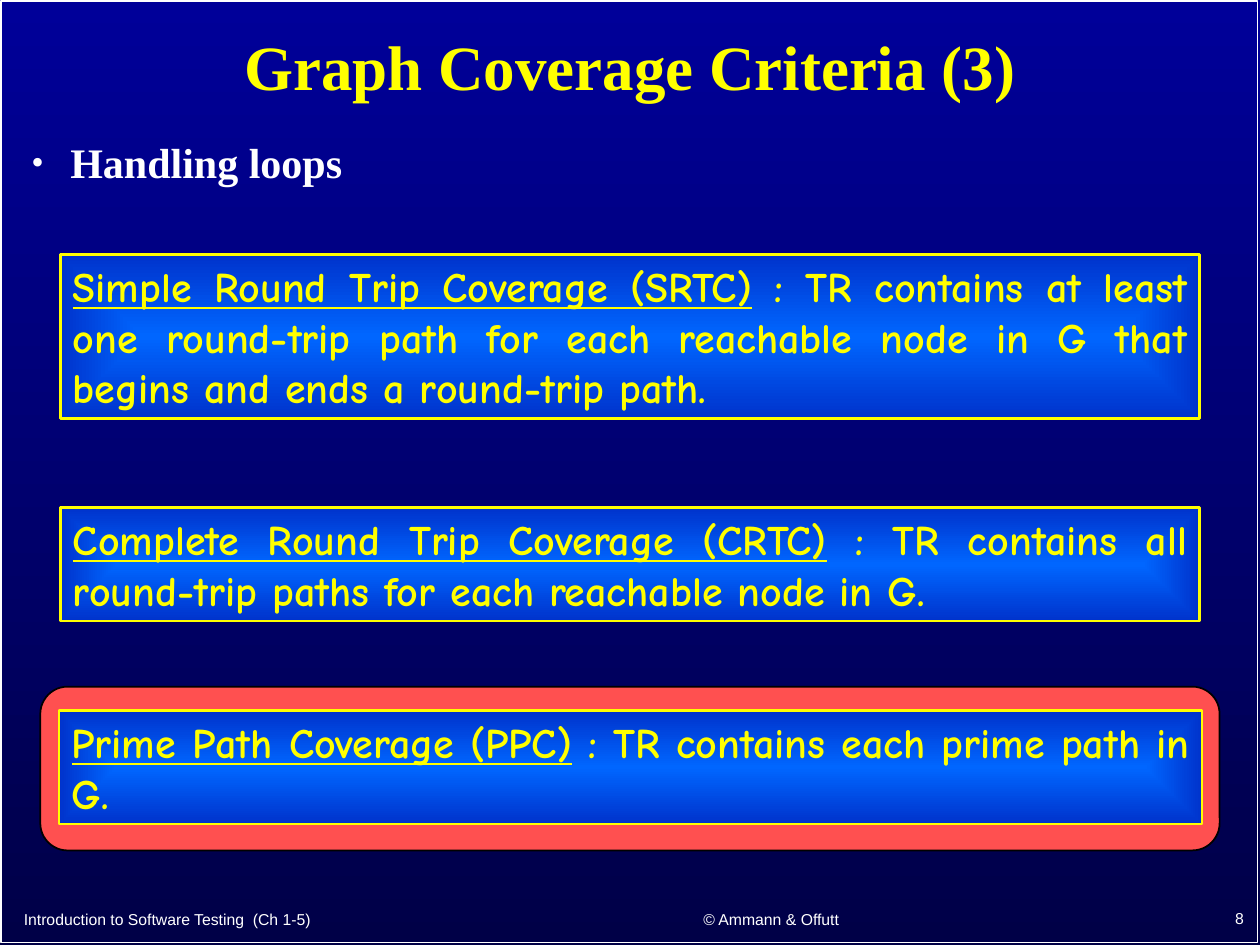
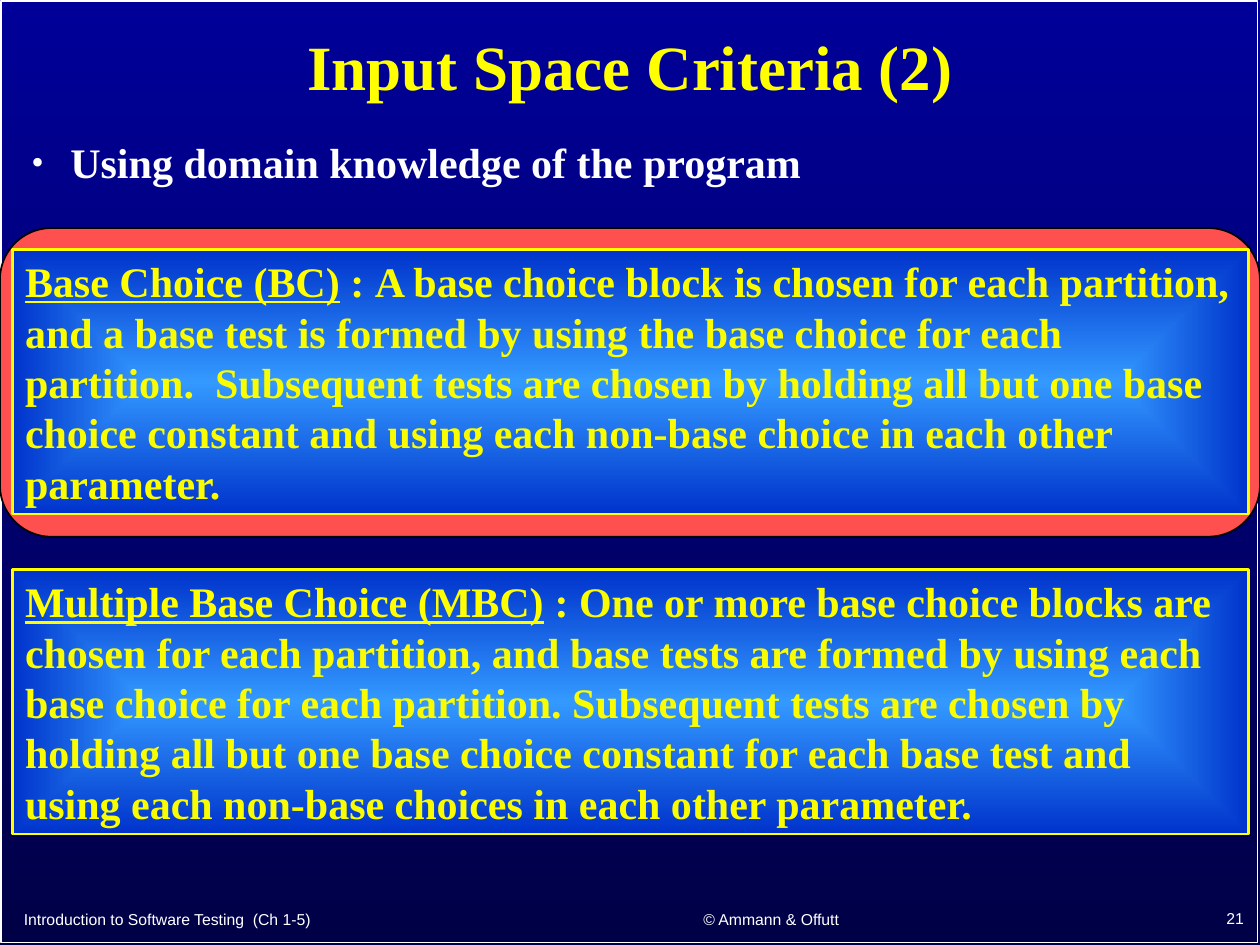
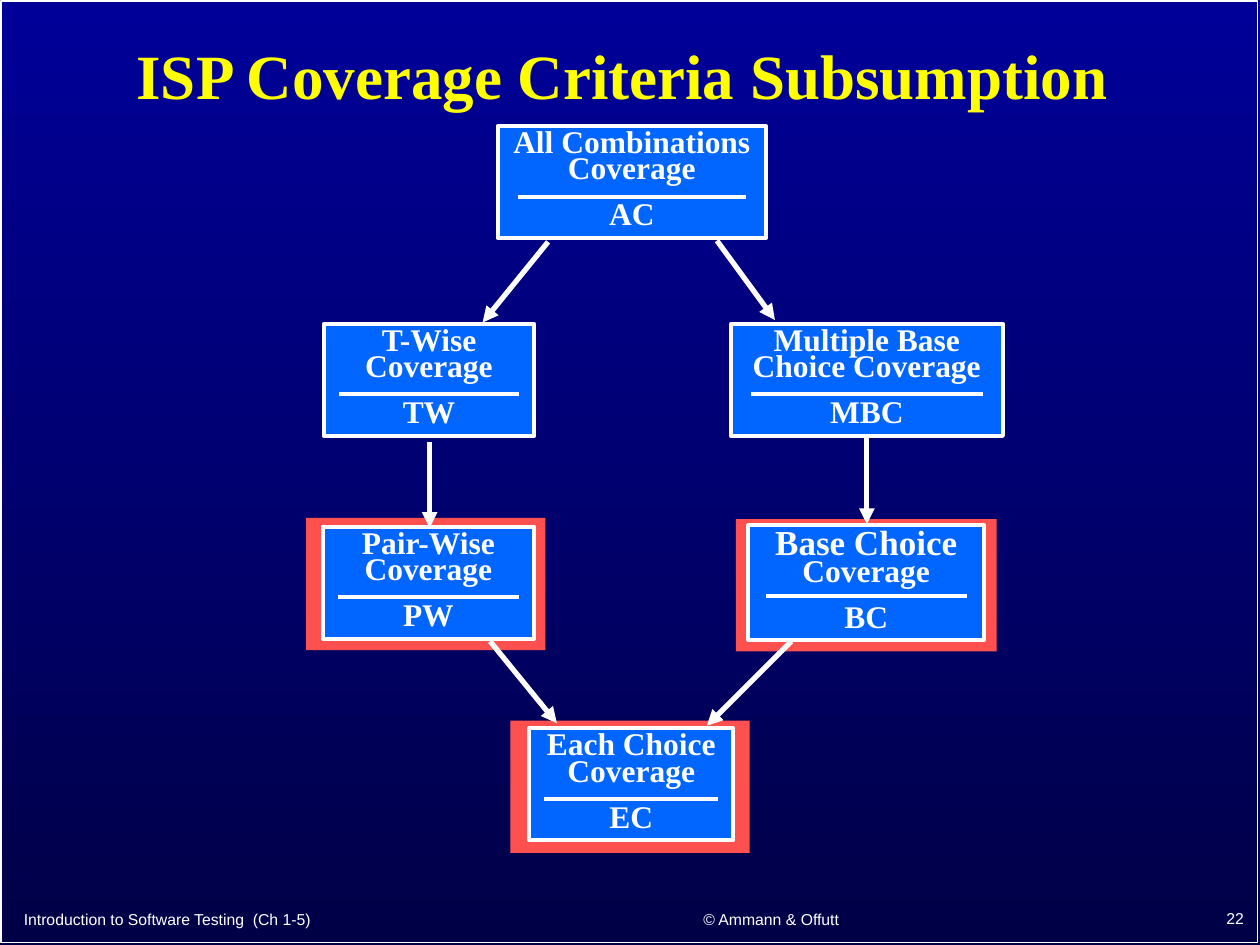
from dataclasses import dataclass

from lxml import etree
from pptx import Presentation
from pptx.dml.color import RGBColor
from pptx.enum.shapes import MSO_CONNECTOR, MSO_SHAPE
from pptx.enum.text import MSO_ANCHOR, PP_ALIGN
from pptx.oxml.ns import qn
from pptx.shapes.autoshape import Shape
from pptx.slide import Slide
from pptx.text.text import TextFrame
from pptx.util import Inches, Pt

LEFT, CENTER, RIGHT, JUSTIFY = PP_ALIGN.LEFT, PP_ALIGN.CENTER, PP_ALIGN.RIGHT, PP_ALIGN.JUSTIFY
TOP, MIDDLE, BOTTOM = MSO_ANCHOR.TOP, MSO_ANCHOR.MIDDLE, MSO_ANCHOR.BOTTOM
RECTANGLE, ROUNDED = MSO_SHAPE.RECTANGLE, MSO_SHAPE.ROUNDED_RECTANGLE
STRAIGHT = MSO_CONNECTOR.STRAIGHT

SERIF, SANS, HAND = "Times New Roman", "Arial", "Comic Neue"
COLORS = {
    "sky": "000099",
    "night": "000047",
    "white": "FFFFFF",
    "black": "000000",
    "yellow": "FFFF00",
    "lemon": "FAFD00",
    "highlight": "FF5050",
    "node": "0066FF",
    "glow": "3399FF",
    "panel_edge": "0033CC",
}


@dataclass(frozen=True)
class Box:
    left: float
    top: float
    width: float
    height: float

    def lengths(self) -> tuple[int, ...]:
        return tuple(Inches(v) for v in (self.left, self.top, self.width, self.height))


@dataclass(frozen=True)
class Run:
    text: str
    underline: bool = False
    color: str | None = None
    size: float | None = None


@dataclass(frozen=True)
class Definition:
    box: Box
    runs: list[Run]


@dataclass(frozen=True)
class Criterion:
    box: Box
    name: list[Run]
    abbreviation: str


@dataclass(frozen=True)
class Arrow:
    start: tuple[float, float]
    end: tuple[float, float]


def rgb(name: str) -> RGBColor:
    return RGBColor.from_string(COLORS[name])


def write_text(frame: TextFrame, paragraphs: list[list[Run]], *, size: float, font: str = SERIF,
               color: str = "white", bold: bool = True, align: PP_ALIGN = LEFT,
               anchor: MSO_ANCHOR = TOP, line_spacing: float = 1.0,
               gap: float = 0, bullet: bool = False) -> None:
    frame.word_wrap = True
    frame.vertical_anchor = anchor
    for index, runs in enumerate(paragraphs):
        paragraph = frame.add_paragraph() if index else frame.paragraphs[0]
        if bullet:
            add_bullet(paragraph._p.get_or_add_pPr())
        paragraph.alignment = align
        paragraph.line_spacing = line_spacing
        if index:
            paragraph.space_before = Pt(gap)
        for part in runs:
            run = paragraph.add_run()
            run.text = part.text
            run.font.name = font
            run.font.size = Pt(part.size or size)
            run.font.bold = bold
            run.font.underline = part.underline
            run.font.color.rgb = rgb(part.color or color)


def add_bullet(properties: etree._Element) -> None:
    indent = Inches(0.31)
    properties.set("marL", str(indent))
    properties.set("indent", str(-indent))
    tint = etree.SubElement(properties, qn("a:buClr"))
    etree.SubElement(tint, qn("a:srgbClr"), val=COLORS["white"])
    etree.SubElement(properties, qn("a:buSzPct"), val="85000")
    etree.SubElement(properties, qn("a:buFont"), typeface=SERIF)
    etree.SubElement(properties, qn("a:buChar"), char="•")


def add_label(slide: Slide, box: Box, text: str, **style) -> None:
    write_text(slide.shapes.add_textbox(*box.lengths()).text_frame, [[Run(text)]], **style)


def add_block(slide: Slide, box: Box, *, kind: MSO_SHAPE = RECTANGLE, fill: str | None = None,
              line: str | None = None, weight: float = 1) -> Shape:
    block = slide.shapes.add_shape(kind, *box.lengths())
    block.shadow.inherit = False
    if fill:
        block.fill.solid()
        block.fill.fore_color.rgb = rgb(fill)
    else:
        block.fill.background()
    if line:
        block.line.color.rgb = rgb(line)
        block.line.width = Pt(weight)
    else:
        block.line.fill.background()
    return block


def set_gradient(fill, first: str, last: str) -> None:
    fill.gradient()
    for stop, name, position in zip(fill.gradient_stops, (first, last), (0, 1)):
        stop.color.rgb = rgb(name)
        stop.position = position


def add_line(slide: Slide, start: tuple[float, float], end: tuple[float, float], *,
             weight: float, arrowhead: bool = False) -> None:
    line = slide.shapes.add_connector(STRAIGHT, *(Inches(v) for v in (*start, *end)))
    line.line.color.rgb = rgb("white")
    line.line.width = Pt(weight)
    properties = line._element.spPr
    if arrowhead:
        etree.SubElement(properties.find(qn("a:ln")), qn("a:tailEnd"), type="triangle")
    etree.SubElement(properties, qn("a:effectLst"))


def add_definition(slide: Slide, definition: Definition, *, center: str, font: str,
                   align: PP_ALIGN) -> None:
    panel = add_block(slide, definition.box, line="yellow", weight=1.5)
    set_gradient(panel.fill, center, "panel_edge")
    gradient = panel._element.spPr.find(qn("a:gradFill"))
    gradient.remove(gradient.find(qn("a:lin")))
    path = etree.SubElement(gradient, qn("a:path"), path="rect")
    etree.SubElement(path, qn("a:fillToRect"), {side: "50000" for side in "ltrb"})
    write_text(panel.text_frame, [definition.runs], size=24, font=font, color="yellow", align=align)


def add_criterion(slide: Slide, criterion: Criterion) -> None:
    box = criterion.box
    node = add_block(slide, box, fill="node", line="white", weight=2.25)
    write_text(node.text_frame, [criterion.name, [Run(criterion.abbreviation)]], size=18,
               align=CENTER, line_spacing=0.7, gap=11.2)
    inset = box.width / 13.5
    rule = box.top + 0.56
    add_line(slide, (box.left + inset, rule), (box.left + box.width - inset, rule), weight=2.25)


def add_callout(slide: Slide, box: Box) -> None:
    add_block(slide, box, kind=ROUNDED, fill="highlight", line="black")


def start_slide(deck: Presentation, title: str, number: int,
                title_box: Box = Box(0.75, 0.06, 8.5, 1)) -> Slide:
    slide = deck.slides.add_slide(deck.slide_layouts[6])
    backdrop = slide.background.fill
    set_gradient(backdrop, "sky", "night")
    backdrop.gradient_angle = 270
    add_block(slide, Box(0.01, 0.01, 9.97, 7.47), line="white")
    footers = (
        (Box(0.09, 7.13, 4.28, 0.29), "Introduction to Software Testing  (Ch 1-5)", LEFT),
        (Box(4.53, 7.12, 3.18, 0.3), "© Ammann & Offutt", CENTER),
        (Box(7.89, 7.11, 2.08, 0.3), str(number), RIGHT),
    )
    for box, text, align in footers:
        add_label(slide, box, text, size=9, font=SANS, bold=False, align=align, anchor=BOTTOM)
    add_label(slide, title_box, title, size=36, color="yellow", align=CENTER, anchor=MIDDLE,
              line_spacing=0.9)
    return slide


def add_topic(slide: Slide, text: str) -> None:
    add_label(slide, Box(0.15, 1.08, 9.7, 0.56), text, size=24, line_spacing=0.9, bullet=True)


def build_graph_criteria(deck: Presentation) -> None:
    slide = start_slide(deck, "Graph Coverage Criteria (3)", 8)
    add_topic(slide, "Handling loops")
    add_callout(slide, Box(0.32, 5.45, 9.36, 1.3))
    definitions = (
        Definition(Box(0.48, 2.02, 9.04, 1.3), [
            Run("Simple Round Trip Coverage (SRTC)", underline=True),
            Run(" : TR contains at least one round-trip path for each reachable node in G "
                "that begins and ends a round-trip path."),
        ]),
        Definition(Box(0.48, 4.03, 9.04, 0.9), [
            Run("Complete Round Trip Coverage (CRTC)", underline=True),
            Run(" : TR contains all round-trip paths for each reachable node in G."),
        ]),
        Definition(Box(0.47, 5.64, 9.07, 0.9), [
            Run("Prime Path Coverage (PPC)", underline=True),
            Run(" : TR contains each prime path in G."),
        ]),
    )
    for definition in definitions:
        add_definition(slide, definition, center="node", font=HAND, align=JUSTIFY)


def build_input_criteria(deck: Presentation) -> None:
    slide = start_slide(deck, "Input Space Criteria (2)", 21)
    add_topic(slide, "Using domain knowledge of the program")
    add_callout(slide, Box(0, 1.81, 10, 2.45))
    choices = (
        (1.98, "Base Choice (BC)",
         "A base choice block is chosen for each partition, and a base test is formed by using "
         "the base choice for each partition.  Subsequent tests are chosen by holding all but one "
         "base choice constant and using each non-base choice in each other parameter."),
        (4.52, "Multiple Base Choice (MBC)",
         "One or more base choice blocks are chosen for each partition, and base tests are formed "
         "by using each base choice for each partition. Subsequent tests are chosen by holding "
         "all but one base choice constant for each base test and using each non-base choices in "
         "each other parameter."),
    )
    for top, term, meaning in choices:
        runs = [Run(term, underline=True), Run(" : "), Run(meaning, color="lemon")]
        add_definition(slide, Definition(Box(0.1, top, 9.81, 2.1), runs), center="glow",
                       font=SERIF, align=LEFT)


def build_subsumption(deck: Presentation) -> None:
    slide = start_slide(deck, "ISP Coverage Criteria Subsumption ", 22,
                        Box(0.65, 0.11, 8.7, 1.03))
    for left, top, width in ((4.05, 5.72, 1.9), (2.43, 4.11, 1.9), (5.84, 4.12, 2.07)):
        add_block(slide, Box(left, top, width, 1.05), fill="highlight")
    criteria = (
        Criterion(Box(3.95, 1, 2.13, 0.89), [Run("All Combinations Coverage")], "AC"),
        Criterion(Box(2.57, 2.57, 1.67, 0.89), [Run("T-Wise Coverage")], "TW"),
        Criterion(Box(5.8, 2.57, 2.16, 0.89), [Run("Multiple Base Choice Coverage")], "MBC"),
        Criterion(Box(2.56, 4.18, 1.68, 0.89), [Run("Pair-Wise Coverage")], "PW"),
        Criterion(Box(5.94, 4.17, 1.87, 0.91), [Run("Base Choice ", size=20), Run("Coverage")],
                  "BC"),
        Criterion(Box(4.2, 5.78, 1.62, 0.89), [Run("Each Choice Coverage")], "EC"),
    )
    for criterion in criteria:
        add_criterion(slide, criterion)
    arrows = (
        Arrow((4.35, 1.92), (3.83, 2.56)),
        Arrow((5.69, 1.91), (6.15, 2.54)),
        Arrow((3.41, 3.51), (3.41, 4.19)),
        Arrow((6.88, 3.48), (6.88, 4.16)),
        Arrow((3.89, 5.09), (4.42, 5.74)),
        Arrow((6.28, 5.09), (5.61, 5.76)),
    )
    for arrow in arrows:
        add_line(slide, arrow.start, arrow.end, weight=3, arrowhead=True)


def main() -> None:
    deck = Presentation()
    deck.slide_width, deck.slide_height = Inches(10), Inches(7.5)
    build_graph_criteria(deck)
    build_input_criteria(deck)
    build_subsumption(deck)
    deck.save("out.pptx")


if __name__ == "__main__":
    main()
